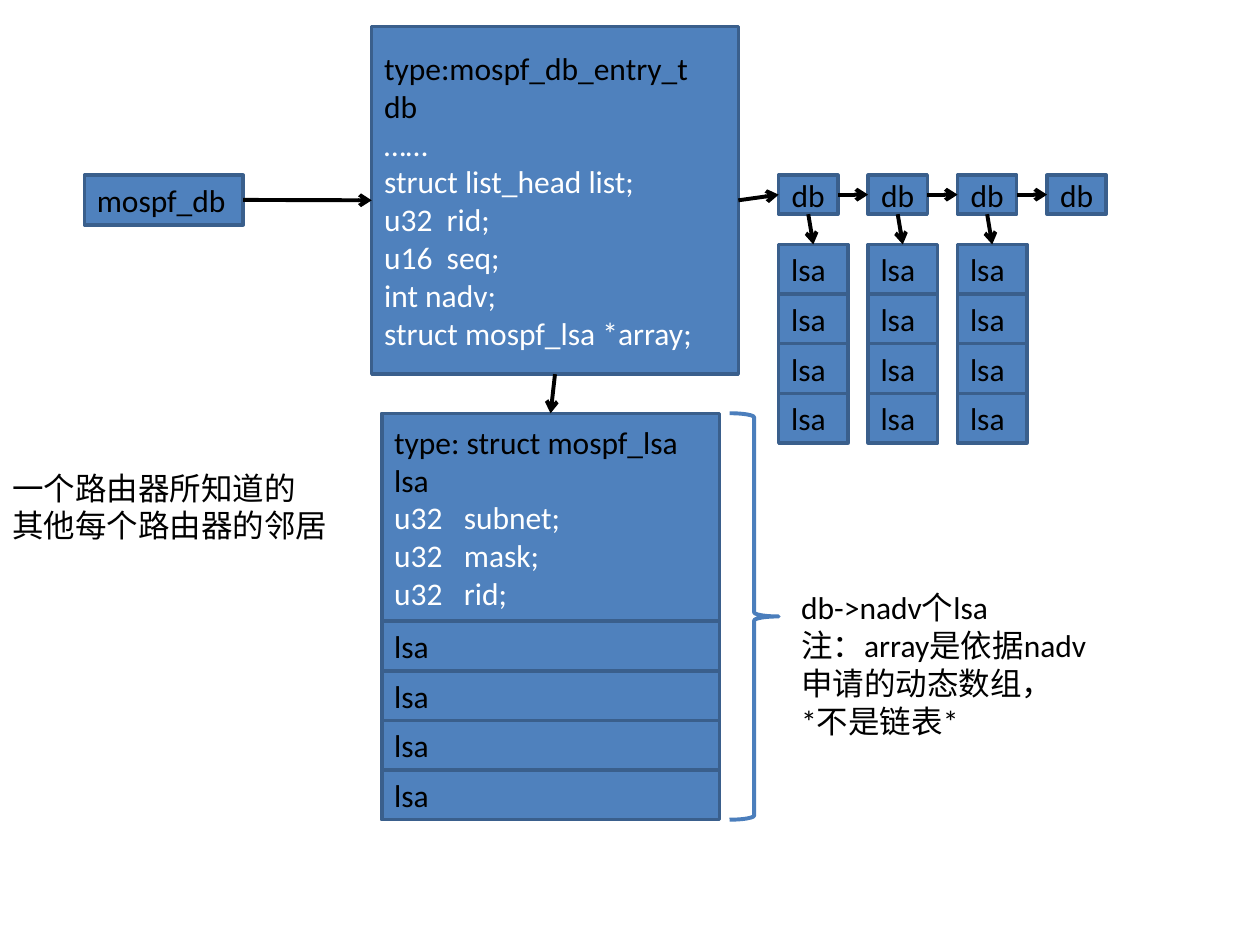
from dataclasses import dataclass

from lxml.etree import SubElement
from pptx import Presentation
from pptx.dml.color import RGBColor
from pptx.enum.shapes import MSO_CONNECTOR, MSO_SHAPE
from pptx.enum.text import MSO_ANCHOR, PP_ALIGN
from pptx.oxml.ns import qn
from pptx.shapes.autoshape import Shape
from pptx.shapes.shapetree import GroupShapes, SlideShapes
from pptx.text.text import TextFrame
from pptx.util import Inches, Pt

COLORS = {"fill": "4F81BD", "edge": "3A5F8C", "brace": "4B7EBC",
          "ink": "000000", "field": "FFFFFF"}
TOP, LEFT, BOTTOM, RIGHT = range(4)
ROW = 0.394
CHAIN_LEFT, CHAIN_STEP, CHAIN_TOP = 6.18, 0.71, 1.39
ARRAY_TOP = 1.94
DETAIL_LEFT, DETAIL_TOP, DETAIL_WIDTH, DETAIL_HEIGHT = 3.03, 3.28, 2.68, 1.65


@dataclass(frozen=True)
class Area:
    left: float
    top: float
    width: float
    height: float

    def lengths(self) -> list[int]:
        return [Inches(n) for n in (self.left, self.top, self.width, self.height)]


@dataclass(frozen=True)
class Content:
    titles: tuple[str, ...]
    fields: tuple[str, ...] = ()
    align: PP_ALIGN = PP_ALIGN.LEFT


LSA = Content(("lsa",))
DB = Content(("db",), align=PP_ALIGN.CENTER)
ENTRY = Content(("type:mospf_db_entry_t", "db"),
                ("……", "struct list_head list;", "u32  rid;", "u16  seq;",
                 "int nadv;", "struct mospf_lsa *array;"))
DETAIL = Content(("type: struct mospf_lsa", "lsa"),
                 ("u32   subnet;", "u32   mask;", "u32   rid;"))
ARRAY_NOTE = Content(("db->nadv个lsa", "注：array是依据nadv",
                      "申请的动态数组，", "*不是链表*"))
NEIGHBOUR_NOTE = Content(("一个路由器所知道的", "其他每个路由器的邻居"))


def color(name: str) -> RGBColor:
    return RGBColor.from_string(COLORS[name])


def write(frame: TextFrame, content: Content) -> None:
    frame.word_wrap = True
    lines = [(text, "ink") for text in content.titles]
    lines += [(text, "field") for text in content.fields]
    for index, (text, shade) in enumerate(lines):
        para = frame.add_paragraph() if index else frame.paragraphs[0]
        para.alignment = content.align
        span = para.add_run()
        span.text = text
        span.font.name = "Calibri"
        span.font.size = Pt(18)
        span.font.color.rgb = color(shade)


def add_box(shapes: SlideShapes | GroupShapes, area: Area, content: Content) -> Shape:
    box = shapes.add_shape(MSO_SHAPE.RECTANGLE, *area.lengths())
    box.shadow.inherit = False
    box.fill.solid()
    box.fill.fore_color.rgb = color("fill")
    box.line.color.rgb = color("edge")
    box.line.width = Pt(2)
    box.text_frame.vertical_anchor = MSO_ANCHOR.MIDDLE
    write(box.text_frame, content)
    return box


def add_stack(shapes: SlideShapes | GroupShapes, left: float, top: float,
              width: float) -> list[Shape]:
    return [add_box(shapes, Area(left, top + row * ROW, width, ROW), LSA)
            for row in range(4)]


def add_arrow(shapes: SlideShapes, start: Shape, start_side: int,
              end: Shape, end_side: int) -> None:
    arrow = shapes.add_connector(MSO_CONNECTOR.STRAIGHT, 0, 0, 0, 0)
    arrow.begin_connect(start, start_side)
    arrow.end_connect(end, end_side)
    arrow.line.color.rgb = color("ink")
    arrow.line.width = Pt(2.25)
    SubElement(arrow.line._get_or_add_ln(), qn("a:tailEnd"), type="arrow")
    SubElement(arrow._element.spPr, qn("a:effectLst"))


def add_note(shapes: SlideShapes, area: Area, content: Content) -> None:
    write(shapes.add_textbox(*area.lengths()).text_frame, content)


def add_brace(shapes: SlideShapes, area: Area) -> None:
    brace = shapes.add_shape(MSO_SHAPE.RIGHT_BRACE, *area.lengths())
    brace.shadow.inherit = False
    brace.fill.background()
    brace.line.color.rgb = color("brace")
    brace.line.width = Pt(2.25)


deck = Presentation()
deck.slide_width, deck.slide_height = Inches(10), Inches(7.5)
page = deck.slides.add_slide(deck.slide_layouts[6])
shapes = page.shapes

entry = add_box(shapes, Area(2.95, 0.21, 2.91, 2.76), ENTRY)
root = add_box(shapes, Area(0.67, CHAIN_TOP, 1.26, ROW), Content(("mospf_db",)))
add_arrow(shapes, root, RIGHT, entry, LEFT)

previous = entry
for column in range(4):
    left = CHAIN_LEFT + column * CHAIN_STEP
    node = add_box(shapes, Area(left, CHAIN_TOP, 0.47, 0.31), DB)
    add_arrow(shapes, previous, RIGHT, node, LEFT)
    if column < 3:
        cells = add_stack(shapes.add_group_shape().shapes, left, ARRAY_TOP, 0.55)
        add_arrow(shapes, node, BOTTOM, cells[0], TOP)
    previous = node

array = shapes.add_group_shape().shapes
detail = add_box(array, Area(DETAIL_LEFT, DETAIL_TOP, DETAIL_WIDTH, DETAIL_HEIGHT), DETAIL)
add_stack(array, DETAIL_LEFT, DETAIL_TOP + DETAIL_HEIGHT, DETAIL_WIDTH)
add_arrow(shapes, entry, BOTTOM, detail, TOP)
add_brace(shapes, Area(5.79, DETAIL_TOP, 0.39, DETAIL_HEIGHT + 4 * ROW))

add_note(shapes, Area(6.26, 4.62, 2.49, 1.31), ARRAY_NOTE)
add_note(shapes, Area(0, 3.67, 2.73, 0.71), NEIGHBOUR_NOTE)

deck.save("out.pptx")
